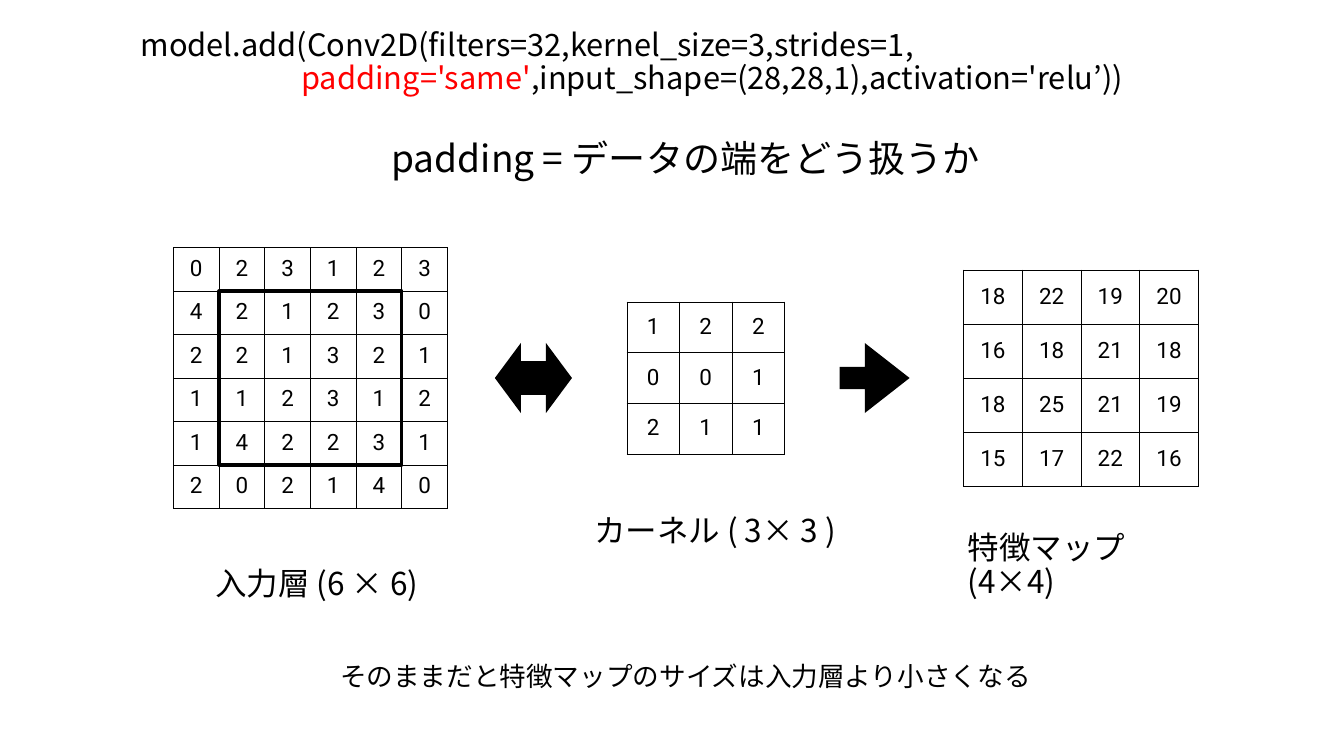
from lxml.etree import SubElement
from pptx import Presentation
from pptx.dml.color import RGBColor
from pptx.enum.shapes import MSO_SHAPE
from pptx.enum.text import MSO_ANCHOR, MSO_AUTO_SIZE, PP_ALIGN
from pptx.oxml.ns import qn
from pptx.util import Emu, Inches, Pt

WIDTH, HEIGHT = 26.67, 15
MIDDLE = HEIGHT / 2
INSET = 0.06
COLORS = {"ink": "000000", "paper": "FFFFFF", "accent": "FF0000"}
TEXT_FONT, NUMBER_FONT = "Noto Sans CJK JP", "Roboto"

# Each paragraph: left indent, then (text, color) spans
CODE = [
    (0, [("model.add(Conv2D(filters=32,kernel_size=3,strides=1,", "ink")]),
    (3.19, [("padding='same'", "accent"),
            (",input_shape=(28,28,1),activation='relu’))", "ink")]),
]
# text, left, top, width, height, size, alignment; "\v" breaks the line
LABELS = [
    ("padding = データの端をどう扱うか", 7.52, 2.72, 12.18, 0.91, 53, PP_ALIGN.CENTER),
    ("入力層 (6 × 6)", 4.21, 11.21, 4.35, 0.79, 45, PP_ALIGN.LEFT),
    ("カーネル ( 3× 3 )", 11.73, 10.16, 5.19, 0.79, 45, PP_ALIGN.LEFT),
    ("特徴マップ\v(4×4)", 19.14, 10.85, 4.98, 0.79, 45, PP_ALIGN.LEFT),
    ("そのままだと特徴マップのサイズは入力層より小さくなる",
     6.62, 13.1, 13.97, 0.69, 38, PP_ALIGN.CENTER),
]
INPUT_LAYER = {"left": 3.44, "width": 5.44, "height": 5.18, "rows": [
    (0, 2, 3, 1, 2, 3),
    (4, 2, 1, 2, 3, 0),
    (2, 2, 1, 3, 2, 1),
    (1, 1, 2, 3, 1, 2),
    (1, 4, 2, 2, 3, 1),
    (2, 0, 2, 1, 4, 0),
]}
KERNEL = {"left": 12.44, "width": 3.13, "height": 3.02, "rows": [
    (1, 2, 2),
    (0, 0, 1),
    (2, 1, 1),
]}
FEATURE_MAP = {"left": 19.12, "width": 4.66, "height": 4.29, "rows": [
    (18, 22, 19, 20),
    (16, 18, 21, 18),
    (18, 25, 21, 19),
    (15, 17, 22, 16),
]}
# preset, left, width, adjustments
ARROWS = [
    (MSO_SHAPE.LEFT_RIGHT_ARROW, 9.82, 1.53, (0.485, 0.371)),
    (MSO_SHAPE.RIGHT_ARROW, 16.66, 1.39, (0.32, 0.64)),
]
ARROW_HEIGHT = 1.39


def color(name):
    return RGBColor.from_string(COLORS[name])


def style(para, size, name, align):
    para.alignment, para.line_spacing = align, 0.9
    para.font.size, para.font.name = Pt(size), name
    para.font.color.rgb = color("ink")
    defaults = para._p.get_or_add_pPr().find(qn("a:defRPr"))
    SubElement(defaults, qn("a:ea")).set("typeface", name)


def set_insets(target):
    """Give a text frame or a table cell the same small margin all round."""
    target.margin_left = target.margin_right = Inches(INSET)
    target.margin_top = target.margin_bottom = Inches(INSET)
    target.vertical_anchor = MSO_ANCHOR.MIDDLE


def add_label(page, text, left, top, width, height, size, align):
    box = page.shapes.add_textbox(*map(Inches, (left, top, width, height)))
    frame = box.text_frame
    set_insets(frame)
    frame.word_wrap = False
    frame.auto_size = MSO_AUTO_SIZE.SHAPE_TO_FIT_TEXT
    para = frame.paragraphs[0]
    para.text = text
    style(para, size, TEXT_FONT, align)


def add_code(page):
    box = page.shapes.add_textbox(*map(Inches, (2.69, 0.54, 21.1, 1.43)))
    frame = box.text_frame
    frame.word_wrap = True
    frame.auto_size = MSO_AUTO_SIZE.SHAPE_TO_FIT_TEXT
    for index, (indent, spans) in enumerate(CODE):
        para = frame.add_paragraph() if index else frame.paragraphs[0]
        style(para, 44, TEXT_FONT, PP_ALIGN.LEFT)
        para._p.get_or_add_pPr().set("marL", str(Inches(indent)))
        for text, color_name in spans:
            span = para.add_run()
            span.text = text
            span.font.color.rgb = color(color_name)


def add_borders(cell):
    properties = cell._tc.get_or_add_tcPr()
    for index, side in enumerate(("lnL", "lnR", "lnT", "lnB")):
        line = properties.makeelement(qn(f"a:{side}"), {"w": str(Pt(1))})
        fill = SubElement(line, qn("a:solidFill"))
        SubElement(fill, qn("a:srgbClr")).set("val", COLORS["ink"])
        properties.insert(index, line)


def add_matrix(page, matrix):
    """Draw a number grid centred on the slide's middle line."""
    rows = matrix["rows"]
    width, height = matrix["width"], matrix["height"]
    frame = page.shapes.add_table(
        len(rows), len(rows[0]), Inches(matrix["left"]),
        Inches(MIDDLE - height / 2), Inches(width), Inches(height))
    table = frame.table
    table.first_row = table.horz_banding = False
    for column in table.columns:
        column.width = Emu(Inches(width) // len(rows[0]))
    for row, values in zip(table.rows, rows):
        row.height = Emu(Inches(height) // len(rows))
        for cell, value in zip(row.cells, values):
            set_insets(cell)
            cell.fill.solid()
            cell.fill.fore_color.rgb = color("paper")
            add_borders(cell)
            para = cell.text_frame.paragraphs[0]
            para.text = str(value)
            style(para, 32, NUMBER_FONT, PP_ALIGN.CENTER)


def add_centred_shape(page, preset, left, width, height):
    shape = page.shapes.add_shape(
        preset, *map(Inches, (left, MIDDLE - height / 2, width, height)))
    shape.shadow.inherit = False
    return shape


def add_arrow(page, preset, left, width, adjustments):
    arrow = add_centred_shape(page, preset, left, width, ARROW_HEIGHT)
    for index, value in enumerate(adjustments):
        arrow.adjustments[index] = value
    arrow.fill.solid()
    arrow.fill.fore_color.rgb = color("ink")
    arrow.line.fill.background()


def add_inner_frame(page, matrix):
    """Outline every cell that is not on the edge of the matrix."""
    count = len(matrix["rows"])
    step = matrix["width"] / count
    inner = (count - 2) / count
    outline = add_centred_shape(
        page, MSO_SHAPE.RECTANGLE, matrix["left"] + step,
        matrix["width"] * inner, matrix["height"] * inner)
    outline.fill.background()
    outline.line.color.rgb = color("ink")
    outline.line.width = Pt(4.5)


def main():
    deck = Presentation()
    deck.slide_width, deck.slide_height = Inches(WIDTH), Inches(HEIGHT)
    page = deck.slides.add_slide(deck.slide_layouts[6])
    for matrix in (INPUT_LAYER, KERNEL, FEATURE_MAP):
        add_matrix(page, matrix)
    for label in LABELS:
        add_label(page, *label)
    for arrow in ARROWS:
        add_arrow(page, *arrow)
    add_code(page)
    add_inner_frame(page, INPUT_LAYER)
    deck.save("out.pptx")


if __name__ == "__main__":
    main()
